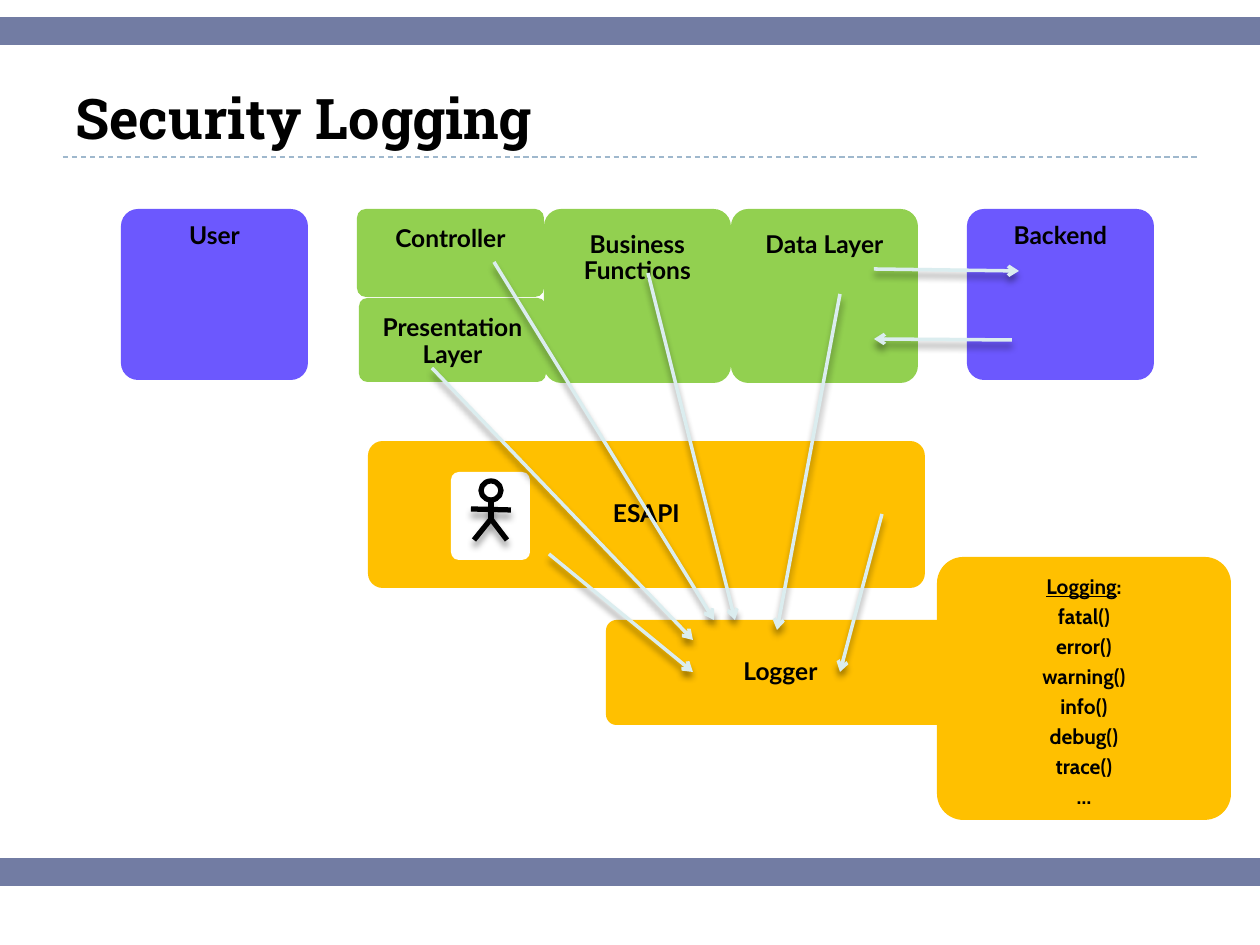
from lxml.etree import SubElement
from pptx import Presentation
from pptx.dml.color import RGBColor
from pptx.enum.dml import MSO_LINE
from pptx.enum.shapes import MSO_CONNECTOR, MSO_SHAPE
from pptx.enum.text import MSO_ANCHOR, PP_ALIGN
from pptx.oxml import parse_xml
from pptx.oxml.ns import nsdecls, qn
from pptx.util import Pt

PX = 914400 // 126
BLACK = RGBColor(0x00, 0x00, 0x00)
WHITE = RGBColor(0xFF, 0xFF, 0xFF)
ORANGE = RGBColor(0xFF, 0xC0, 0x00)
GREEN = RGBColor(0x92, 0xD0, 0x50)
VIOLET = RGBColor(0x6C, 0x58, 0xFE)
SLATE = RGBColor(0x72, 0x7C, 0xA3)
RULE = RGBColor(0x9F, 0xB8, 0xCD)
PALE = RGBColor(0xDB, 0xED, 0xEF)
SHADOW = (
    f'<a:effectLst {nsdecls("a")}><a:outerShdw blurRad="50800" dist="43180" '
    'dir="5400000" rotWithShape="0"><a:srgbClr val="000000">'
    '<a:alpha val="40000"/></a:srgbClr></a:outerShdw></a:effectLst>'
)
NO_SHADOW = f'<a:effectLst {nsdecls("a")}/>'

presentation = Presentation()
presentation.slide_width = 1260 * PX
presentation.slide_height = 945 * PX
slide = presentation.slides.add_slide(presentation.slide_layouts[6])
shapes = slide.shapes


def add_line(points, color, width, effect=SHADOW, arrow=False):
    x1, y1, x2, y2 = [value * PX for value in points]
    line = shapes.add_connector(MSO_CONNECTOR.STRAIGHT, x1, y1, x2, y2)
    line.line.color.rgb = color
    line.line.width = Pt(width)
    if arrow:
        SubElement(line.line._ln, qn("a:tailEnd"), type="arrow")
    line._element.spPr.append(parse_xml(effect))
    return line


def add_text(paragraph, text, font_name, size, underline=False):
    run = paragraph.add_run()
    run.text = text
    run.font.name = font_name
    run.font.size = Pt(size)
    run.font.bold = True
    run.font.color.rgb = BLACK
    if underline:
        run.font.underline = True


# Bars and title rule
rule = add_line((63, 157, 1197, 157), RULE, 0.75, NO_SHADOW)
rule.line.dash_style = MSO_LINE.DASH
for y in (31, 872):
    add_line((0, y, 1260, y), SLATE, 16, NO_SHADOW)

# Title
title = shapes.add_textbox(63 * PX, 31 * PX, 1134 * PX, 126 * PX)
title.text_frame.word_wrap = True
title.text_frame.vertical_anchor = MSO_ANCHOR.BOTTOM
add_text(title.text_frame.paragraphs[0], "Security Logging", "Roboto Slab", 32)

# Boxes: place, fill, lines of text, font, size, anchor, top and bottom margin, spacing
TOP, MIDDLE = MSO_ANCHOR.TOP, MSO_ANCHOR.MIDDLE
LOGGING = ["Logging:", "fatal()", "error()", "warning()", "info()", "debug()", "trace()", "…"]
boxes = [
    ((368, 441, 557, 147), ORANGE, ["ESAPI"], "Lato", 14, MIDDLE, 13, 13, 0.9),
    ((937, 557, 294, 263), ORANGE, LOGGING, "Cabin", 12, MIDDLE, 13, 4, 0.9),
    ((606, 620, 349, 105), ORANGE, ["Logger"], "Lato", 14, MIDDLE, 13, 13, 0.9),
    ((967, 209, 187, 171), VIOLET, ["Backend"], "Lato", 14, TOP, 6, 6, 1),
    ((357, 209, 187, 88), GREEN, ["Controller"], "Lato", 14, TOP, 15, 13, 0.9),
    ((544, 209, 187, 174), GREEN, ["Business Functions"], "Lato", 14, TOP, 18, 13, 0.9),
    ((121, 209, 187, 171), VIOLET, ["User"], "Lato", 14, TOP, 6, 6, 1),
    ((731, 209, 187, 174), GREEN, ["Data Layer"], "Lato", 14, TOP, 18, 13, 0.9),
    ((359, 298, 187, 84), GREEN, ["Presentation\vLayer"], "Lato", 14, TOP, 15, 13, 0.9),
    ((451, 472, 79, 88), WHITE, [], "Lato", 14, TOP, 6, 6, 1),
]
for place, fill, texts, font_name, size, anchor, top, bottom, spacing in boxes:
    box = shapes.add_shape(MSO_SHAPE.ROUNDED_RECTANGLE, *[value * PX for value in place])
    box.adjustments[0] = 0.1
    box.shadow.inherit = False
    box.fill.solid()
    box.fill.fore_color.rgb = fill
    box.line.fill.background()
    frame = box.text_frame
    frame.word_wrap = True
    frame.vertical_anchor = anchor
    frame.margin_left = frame.margin_right = 13 * PX
    frame.margin_top, frame.margin_bottom = top * PX, bottom * PX
    for index, text in enumerate(texts):
        paragraph = frame.add_paragraph() if index else frame.paragraphs[0]
        paragraph.alignment = PP_ALIGN.CENTER
        paragraph.line_spacing = spacing
        if spacing < 1:
            paragraph.space_after = Pt(round(0.35 * size, 1))
        if text.endswith(":"):
            add_text(paragraph, text[:-1], font_name, size, underline=True)
            add_text(paragraph, ":", font_name, size)
            continue
        for part_index, part in enumerate(text.split("\v")):
            if part_index:
                paragraph.add_line_break()
            add_text(paragraph, part, font_name, size)

# Stick figure
head = shapes.add_shape(MSO_SHAPE.OVAL, 481 * PX, 481 * PX, 20 * PX, 19 * PX)
head.shadow.inherit = False
head.fill.background()
head.line.color.rgb = BLACK
head.line.width = Pt(3)
add_line((491, 500, 491, 519), BLACK, 3)
builder = shapes.build_freeform(474, 540, scale=PX)
builder.add_line_segments([(491, 519), (507, 540)], close=False)
legs = builder.convert_to_shape()
legs.fill.background()
legs.line.color.rgb = BLACK
legs.line.width = Pt(3)
legs._element.spPr.append(parse_xml(SHADOW))
add_line((471, 509, 511, 510), BLACK, 3)

# Arrows, each from its start to its head
arrows = [
    (874, 269, 1019, 271),
    (1012, 340, 874, 339),
    (648, 273, 735, 620),
    (840, 294, 777, 630),
    (549, 554, 693, 672),
    (882, 514, 840, 672),
    (432, 368, 693, 640),
    (494, 262, 714, 620),
]
for points in arrows:
    add_line(points, PALE, 2, arrow=True)

presentation.save("out.pptx")
